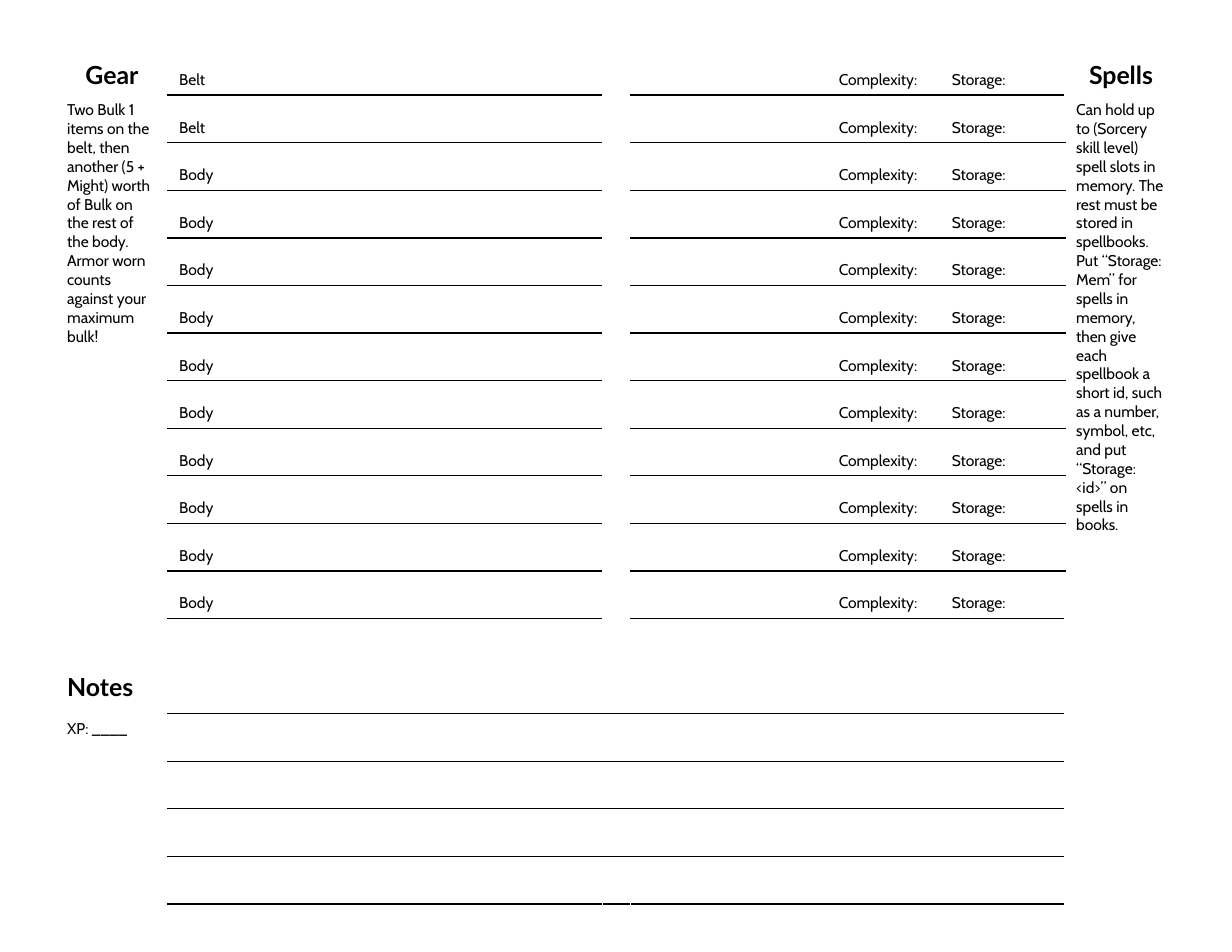
from dataclasses import dataclass
from lxml.etree import SubElement
from pptx import Presentation
from pptx.dml.color import RGBColor
from pptx.enum.text import MSO_ANCHOR, PP_ALIGN
from pptx.oxml.ns import qn
from pptx.util import Pt

PX = 4572
COLS = [100, 200, 162, 614, 50, 352, 202, 222, 200, 100]
ROWS = 20
ROW_H = 85
SLOTS = 12


@dataclass(frozen=True)
class Theme:
    paper: str = "FFFFFF"
    ink: str = "000000"
    head_font: str = "Lato"
    body_font: str = "Cabin"
    head_size: int = 16
    body_size: int = 10
    rule: int = 1


T = Theme()


def write(cell, text, head=False, align=PP_ALIGN.LEFT, anchor=MSO_ANCHOR.TOP):
    cell.vertical_anchor = anchor
    p = cell.text_frame.paragraphs[0]
    p.alignment = align
    r = p.add_run()
    r.text = text
    r.font.name = T.head_font if head else T.body_font
    r.font.size = Pt(T.head_size if head else T.body_size)
    r.font.bold = head
    r.font.color.rgb = RGBColor.from_string(T.ink)


def border(cell, side, color):
    ln = SubElement(cell._tc.get_or_add_tcPr(), qn(f"a:ln{side}"), w=str(Pt(T.rule)))
    fill = SubElement(ln, qn("a:solidFill"))
    SubElement(fill, qn("a:srgbClr"), val=color)


def merge(tbl, row, col, height, width):
    tbl.cell(row, col).merge(tbl.cell(row + height - 1, col + width - 1))


def is_ruled(row, col):
    if 1 <= row <= SLOTS:
        return col in (2, 3, 5, 6, 7)
    return 14 <= row <= 18 and 2 <= col <= 7


def add_grid(s, x, y):
    frame = s.shapes.add_table(ROWS, len(COLS), x * PX, y * PX,
                               sum(COLS) * PX, ROWS * ROW_H * PX)
    tbl = frame.table
    tbl.first_row = tbl.horz_banding = False
    for col, width in zip(tbl.columns, COLS):
        col.width = width * PX
    for row in tbl.rows:
        row.height = ROW_H * PX
    for i in range(ROWS):
        for j in range(len(COLS)):
            cell = tbl.cell(i, j)
            border(cell, "L", T.paper)
            border(cell, "R", T.paper)
            border(cell, "T", T.ink if is_ruled(i - 1, j) else T.paper)
            border(cell, "B", T.ink if is_ruled(i, j) else T.paper)
            cell.fill.solid()
            cell.fill.fore_color.rgb = RGBColor.from_string(T.paper)
    for i in (0, SLOTS + 1, ROWS - 1):
        merge(tbl, i, 2, 1, 2)
        merge(tbl, i, 5, 1, 3)
    return tbl


def add_side_note(tbl, row, col, title, text, height):
    write(tbl.cell(row, col), title, True, PP_ALIGN.CENTER, MSO_ANCHOR.BOTTOM)
    merge(tbl, row + 1, col, height, 1)
    write(tbl.cell(row + 1, col), text)


def add_gear(tbl, row, col):
    add_side_note(tbl, row, col, "Gear",
                  "Two Bulk 1 items on the belt, then another (5 + Might) worth of Bulk "
                  "on the rest of the body. Armor worn counts against your maximum bulk!",
                  SLOTS)
    for i in range(SLOTS):
        write(tbl.cell(row + i, col + 1), "Belt" if i < 2 else "Body",
              anchor=MSO_ANCHOR.BOTTOM)


def add_spells(tbl, row, col):
    for i in range(SLOTS):
        for j, label in enumerate(("Complexity:", "Storage:"), 1):
            write(tbl.cell(row + i, col + j), label, anchor=MSO_ANCHOR.BOTTOM)
    add_side_note(tbl, row, col + 3, "Spells",
                  "Can hold up to (Sorcery skill level) spell slots in memory. The rest "
                  "must be stored in spellbooks. Put “Storage: Mem” for spells in memory, "
                  "then give each spellbook a short id, such as a number, symbol, etc, "
                  "and put “Storage: <id>” on spells in books.",
                  SLOTS - 1)


def add_notes(tbl, row, col):
    write(tbl.cell(row, col), "Notes", True)
    write(tbl.cell(row + 1, col), "XP: ____")
    for i in range(5):
        merge(tbl, row + i, col + 1, 1, 6)


def main():
    prs = Presentation()
    prs.slide_width = 2200 * PX
    prs.slide_height = 1700 * PX
    s = prs.slides.add_slide(prs.slide_layouts[6])
    tbl = add_grid(s, 0, 0)
    add_gear(tbl, 1, 1)
    add_spells(tbl, 1, 5)
    add_notes(tbl, 14, 1)
    prs.save("out.pptx")


if __name__ == "__main__":
    main()
